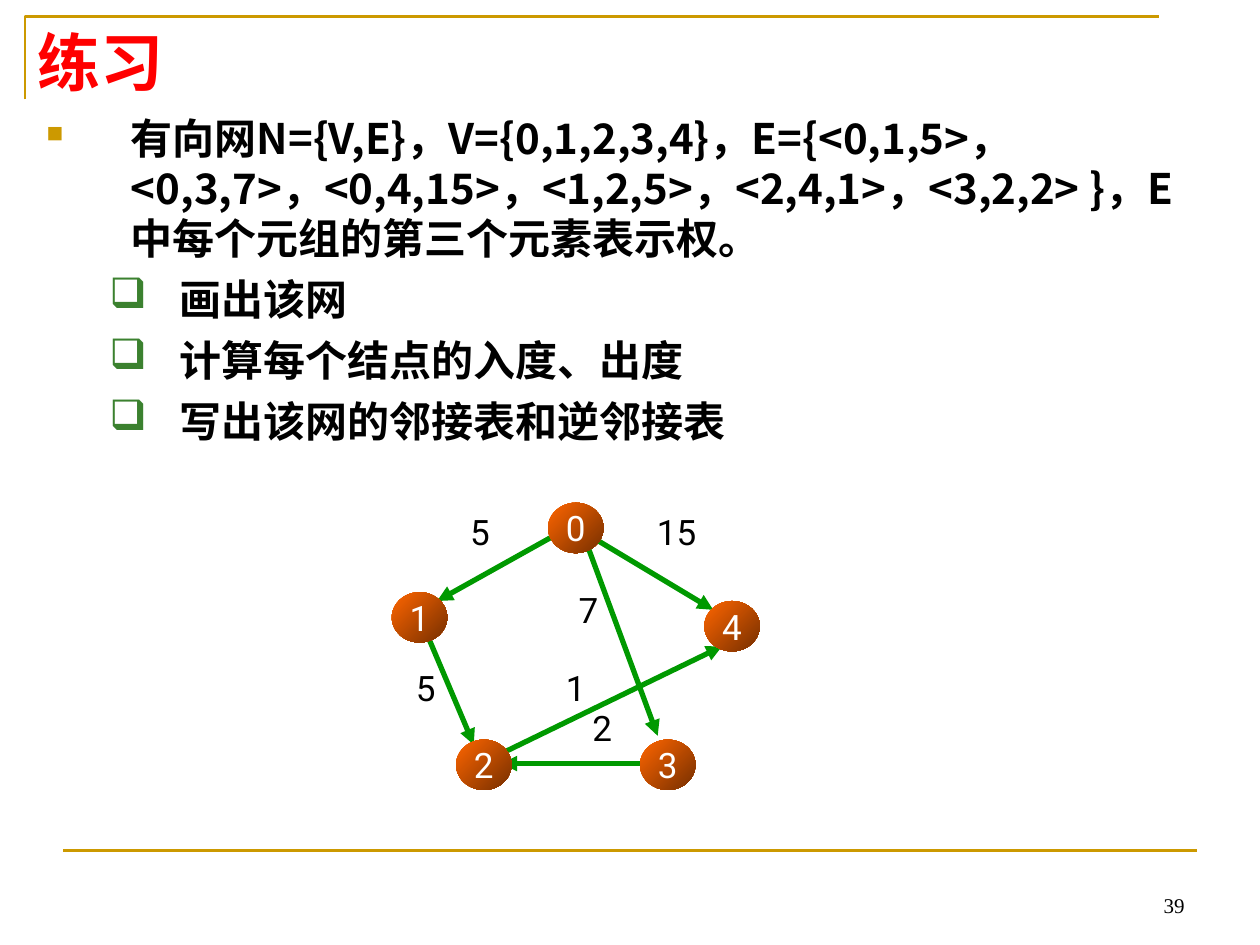
from lxml import etree
from pptx import Presentation, util as u
from pptx.dml.color import RGBColor
from pptx.enum import shapes, text
from pptx.oxml.ns import qn

Inches, Pt = u.Inches, u.Pt
CJK = "Noto Sans CJK SC"
GOLD, GREEN = "CC9900", "009900"


def color(value):
    return RGBColor.from_string(value)


def format_paragraph(paragraph, size, font_name, font_color, alignment="LEFT", bold=False):
    paragraph.alignment = text.PP_ALIGN[alignment]
    font = paragraph.font
    font.size, font.name, font.bold = Pt(size), font_name, bold
    font.color.rgb = color(font_color)
    properties = paragraph._p.pPr.find(qn("a:defRPr"))
    etree.SubElement(properties, qn("a:ea"), typeface=CJK)


presentation = Presentation()
presentation.slide_width, presentation.slide_height = Inches(10), Inches(7.5)
slide = presentation.slides.add_slide(presentation.slide_layouts[5])

# Frame lines
builder = slide.shapes.build_freeform(Inches(0.2), Inches(0.79))
builder.add_line_segments(
    [(Inches(0.2), Inches(0.13)), (Inches(9.2), Inches(0.13))], close=False)
corner = builder.convert_to_shape()
corner.shadow.inherit = False
corner.fill.background()
corner.line.color.rgb = color(GOLD)
corner.line.width = Pt(1.5)

# Straight lines: the footer rule, then the graph's edges from source to target
lines = [
    (0.5, 6.75, 9.5, 6.75, GOLD, 1.5),
    (4.71, 4.27, 5.66, 4.84, GREEN, 3),
    (3.4, 5.06, 3.76, 5.91, GREEN, 3),
    (4.49, 4.2, 3.47, 4.77, GREEN, 3),
    (4.64, 4.27, 5.22, 5.84, GREEN, 3),
    (5.08, 6.06, 3.98, 6.06, GREEN, 3),
    (3.98, 5.98, 5.73, 5.13, GREEN, 3),
]
for x1, y1, x2, y2, line_color, width in lines:
    connector = slide.shapes.add_connector(
        shapes.MSO_CONNECTOR.STRAIGHT, Inches(x1), Inches(y1), Inches(x2), Inches(y2))
    connector.line.color.rgb = color(line_color)
    connector.line.width = Pt(width)
    if line_color == GREEN:
        etree.SubElement(connector.line._get_or_add_ln(), qn("a:tailEnd"), type="triangle")
    etree.SubElement(connector._element.spPr, qn("a:effectLst"))

# Title
title = slide.shapes.title
title.left, title.top, title.width, title.height = (
    Inches(0.2), Inches(0.13), Inches(9), Inches(0.71))
title.text_frame.text = "练习"
title.text_frame.auto_size = text.MSO_AUTO_SIZE.NONE
title.text_frame.vertical_anchor = text.MSO_ANCHOR.MIDDLE
format_paragraph(title.text_frame.paragraphs[0], 36, "Times New Roman", "FF0000", bold=True)

# Exercise text: wording, left margin, hanging indent, bullet, its colour and size
items = [
    ("有向网N={V,E}，V={0,1,2,3,4}，E={<0,1,5>，<0,3,7>，<0,4,15>，<1,2,5>，"
     "<2,4,1>，<3,2,2> }，E中每个元组的第三个元素表示权。", 0.67, 0.67, "■", GOLD, 55),
    ("画出该网", 1.06, 0.56, "❑", "3B812F", 100),
    ("计算每个结点的入度、出度", 1.06, 0.56, "❑", "3B812F", 100),
    ("写出该网的邻接表和逆邻接表", 1.06, 0.56, "❑", "3B812F", 100),
]
body = slide.shapes.add_textbox(Inches(0.27), Inches(0.84), Inches(9.37), Inches(3.07))
frame = body.text_frame
frame.word_wrap = True
for index, (wording, margin, hanging, bullet, bullet_color, bullet_size) in enumerate(items):
    paragraph = frame.add_paragraph() if index else frame.paragraphs[0]
    paragraph.text = wording
    paragraph.level = 1 if index else 0
    paragraph.line_spacing = Pt(28.8)
    if index:
        paragraph.space_before = Pt(6)
    properties = paragraph._p.get_or_add_pPr()
    properties.set("marL", str(Inches(margin)))
    properties.set("indent", str(-Inches(hanging)))
    bullet_fill = etree.SubElement(properties, qn("a:buClr"))
    etree.SubElement(bullet_fill, qn("a:srgbClr"), val=bullet_color)
    etree.SubElement(properties, qn("a:buSzPct"), val=str(bullet_size * 1000))
    etree.SubElement(properties, qn("a:buChar"), char=bullet)
    format_paragraph(paragraph, 24, CJK, "000000", bold=True)

# Graph nodes
nodes = [("1", 3.11, 4.7), ("3", 5.08, 5.87), ("2", 3.62, 5.87),
         ("4", 5.59, 4.77), ("0", 4.35, 3.99)]
for name, left, top in nodes:
    node = slide.shapes.add_shape(
        shapes.MSO_SHAPE.OVAL, Inches(left), Inches(top), Inches(0.44), Inches(0.4))
    node.shadow.inherit = False
    node.line.fill.background()
    node.fill.gradient()
    node.fill.gradient_angle = 315
    for stop, stop_color in zip(node.fill.gradient_stops, ("FF6600", "762F00")):
        stop.color.rgb = color(stop_color)
    frame = node.text_frame
    frame.margin_left = frame.margin_right = 0
    frame.word_wrap = False
    frame.vertical_anchor = text.MSO_ANCHOR.MIDDLE
    frame.text = name
    format_paragraph(frame.paragraphs[0], 20, "Roboto", "FFFFFF", "CENTER")

# Edge weights
weights = [("5", 3.54, 4, 0.54), ("5", 3.11, 5.24, 0.54), ("15", 4.94, 4, 0.86),
           ("1", 4.3, 5.24, 0.54), ("7", 4.4, 4.62, 0.54), ("2", 4.51, 5.56, 0.54)]
for weight, left, top, width in weights:
    label = slide.shapes.add_textbox(Inches(left), Inches(top), Inches(width), Inches(0.44))
    label.text_frame.word_wrap = True
    label.text_frame.text = weight
    format_paragraph(label.text_frame.paragraphs[0], 20, "Roboto", "000000", "CENTER")

# Page number
page_number = slide.shapes.add_textbox(Inches(7.17), Inches(6.83), Inches(2.33), Inches(0.5))
page_number.text_frame.word_wrap = True
page_number.text_frame.vertical_anchor = text.MSO_ANCHOR.BOTTOM
page_number.text_frame.text = "39"
format_paragraph(page_number.text_frame.paragraphs[0], 12, "Times New Roman", "000000", "RIGHT")

presentation.save("out.pptx")
